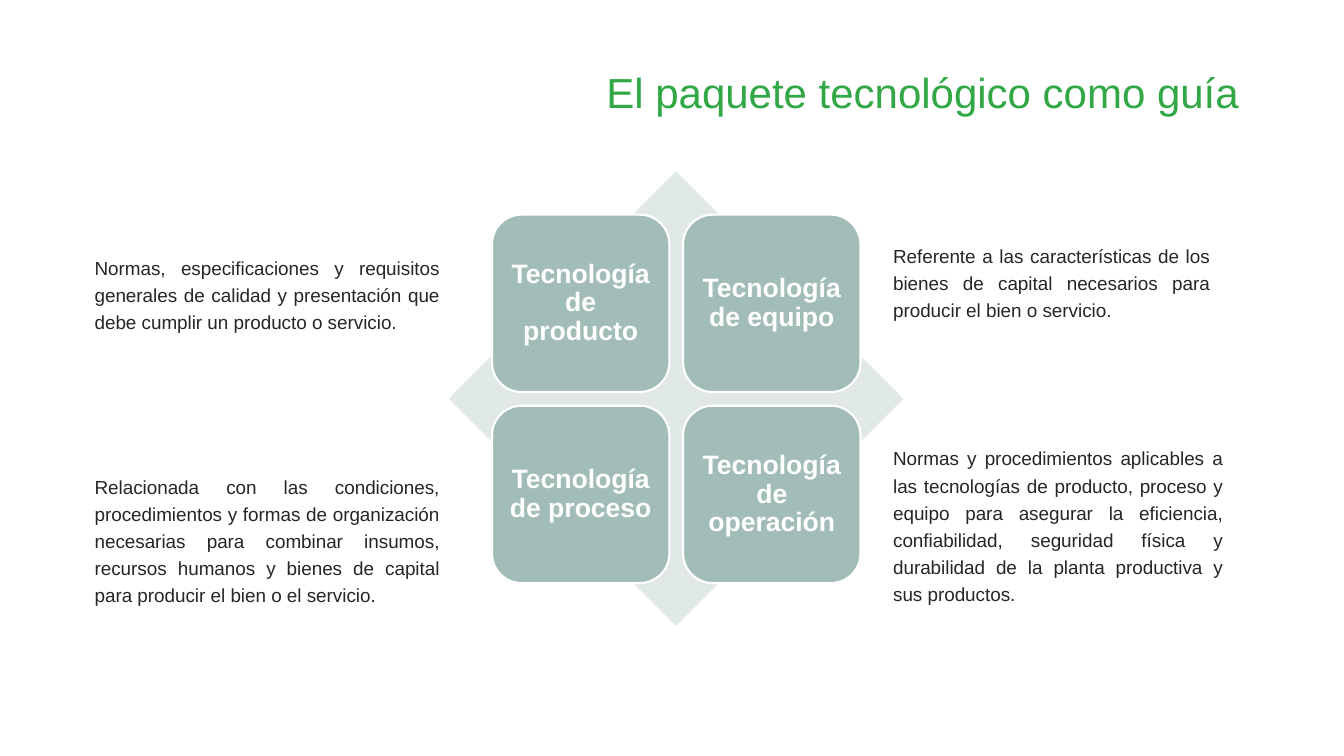
"""Build the slide on the four parts of a technology package."""
from typing import NamedTuple

from pptx import Presentation
from pptx.dml.color import RGBColor
from pptx.enum.shapes import MSO_SHAPE as Preset
from pptx.enum.text import MSO_ANCHOR as Anchor, PP_ALIGN as Align
from pptx.util import Inches, Pt

GREEN = RGBColor(0x31, 0xA8, 0x45)
INK = RGBColor(0x26, 0x26, 0x26)
SAGE = RGBColor(0xA2, 0xBC, 0xB7)
PALE_SAGE = RGBColor(0xE0, 0xE9, 0xE7)
WHITE = RGBColor(0xFF, 0xFF, 0xFF)

GRID_LEFT, GRID_TOP = 4.88, 2.13
TILE_SIZE, TILE_PITCH = 1.76, 1.895
TILE_INSET = Inches(0.08)


class Box(NamedTuple):
    left: float
    top: float
    width: float
    height: float

    def lengths(self) -> list[Inches]:
        return [Inches(length) for length in self]


class Technology(NamedTuple):
    name: str
    column: int
    row: int
    description: str
    description_box: Box


TECHNOLOGIES = [
    Technology("Tecnología de producto", 0, 0,
               "Normas, especificaciones y requisitos generales de calidad y "
               "presentación que debe cumplir un producto o servicio.",
               Box(0.84, 2.45, 3.62, 0.89)),
    Technology("Tecnología de equipo", 1, 0,
               "Referente a las características de los bienes de capital "
               "necesarios para producir el bien o servicio.",
               Box(8.76, 2.33, 3.34, 0.89)),
    Technology("Tecnología de proceso", 0, 1,
               "Relacionada con las condiciones, procedimientos y formas de "
               "organización necesarias para combinar insumos, recursos humanos "
               "y bienes de capital para producir el bien o el servicio.",
               Box(0.84, 4.62, 3.62, 1.44)),
    Technology("Tecnología de operación", 1, 1,
               "Normas y procedimientos aplicables a las tecnologías de producto, "
               "proceso y equipo para asegurar la eficiencia, confiabilidad, "
               "seguridad física y durabilidad de la planta productiva y sus "
               "productos.",
               Box(8.76, 4.34, 3.47, 1.71)),
]


def write(frame, text: str, size: float, color: RGBColor, align: Align,
          anchor: Anchor, spacing: float = 1.0, bold: bool = False) -> None:
    frame.word_wrap = True
    frame.vertical_anchor = anchor
    frame.text = text
    paragraph = frame.paragraphs[0]
    paragraph.alignment = align
    paragraph.line_spacing = spacing
    font = paragraph.runs[0].font
    font.name, font.size, font.bold = "Arial", Pt(size), bold
    font.color.rgb = color


def draw_diamond(slide) -> None:
    diamond = slide.shapes.add_shape(Preset.DIAMOND, *Box(4.45, 1.7, 4.51, 4.51).lengths())
    diamond.shadow.inherit = False
    diamond.fill.solid()
    diamond.fill.fore_color.rgb = PALE_SAGE
    diamond.line.fill.background()


def draw_technology(slide, technology: Technology) -> None:
    tile_box = Box(GRID_LEFT + technology.column * TILE_PITCH,
                   GRID_TOP + technology.row * TILE_PITCH, TILE_SIZE, TILE_SIZE)
    tile = slide.shapes.add_shape(Preset.ROUNDED_RECTANGLE, *tile_box.lengths())
    tile.shadow.inherit = False
    tile.fill.solid()
    tile.fill.fore_color.rgb = SAGE
    tile.line.color.rgb = WHITE
    tile.line.width = Pt(1.5)
    label = tile.text_frame
    label.margin_left = label.margin_right = TILE_INSET
    label.margin_top = label.margin_bottom = TILE_INSET
    write(label, technology.name, 19, WHITE, Align.CENTER, Anchor.MIDDLE, 0.9, True)

    description = slide.shapes.add_textbox(*technology.description_box.lengths())
    write(description.text_frame, technology.description, 13.5, INK,
          Align.JUSTIFY, Anchor.TOP, 1.2)


def main() -> None:
    deck = Presentation()
    deck.slide_width, deck.slide_height = Inches(13.33), Inches(7.5)
    slide = deck.slides.add_slide(deck.slide_layouts[6])
    draw_diamond(slide)
    for technology in TECHNOLOGIES:
        draw_technology(slide, technology)
    title = slide.shapes.add_textbox(*Box(5.32, 0.6, 7.07, 0.61).lengths())
    write(title.text_frame, "El paquete tecnológico como guía", 30, GREEN,
          Align.RIGHT, Anchor.MIDDLE)
    deck.save("out.pptx")


if __name__ == "__main__":
    main()
